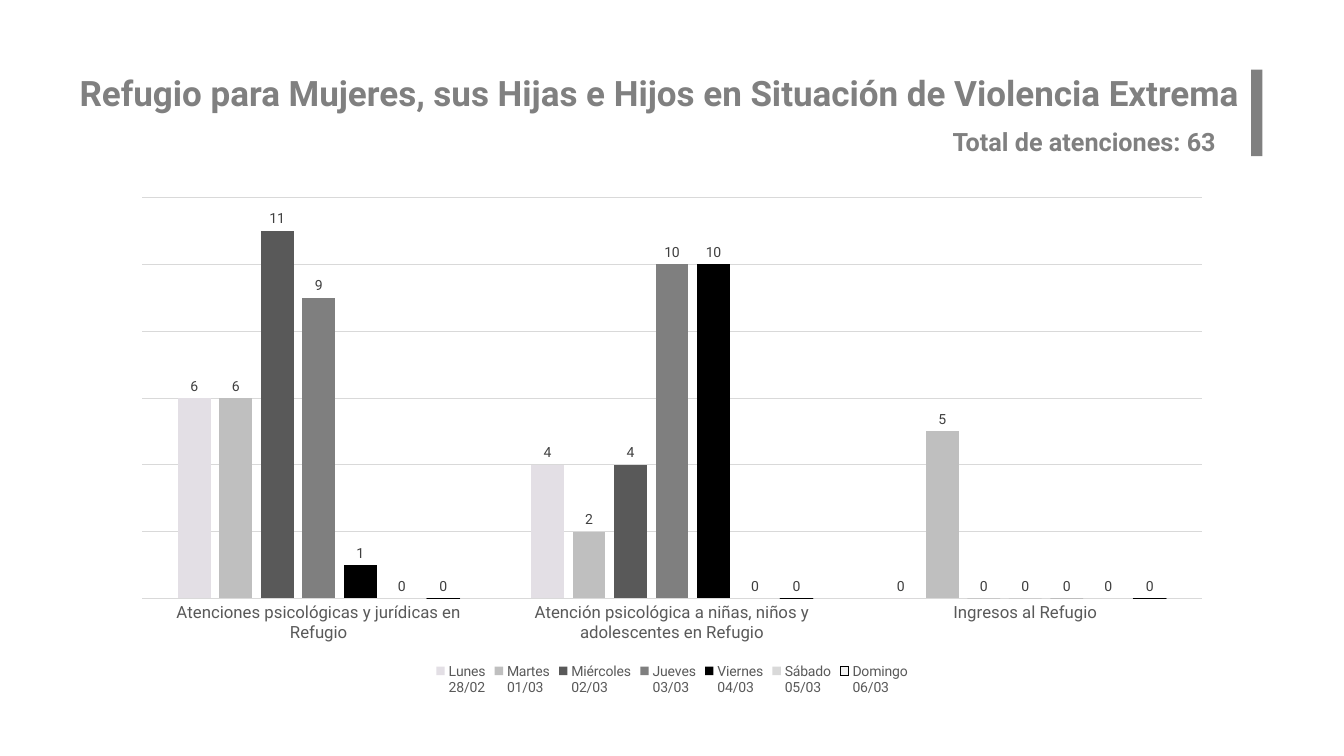
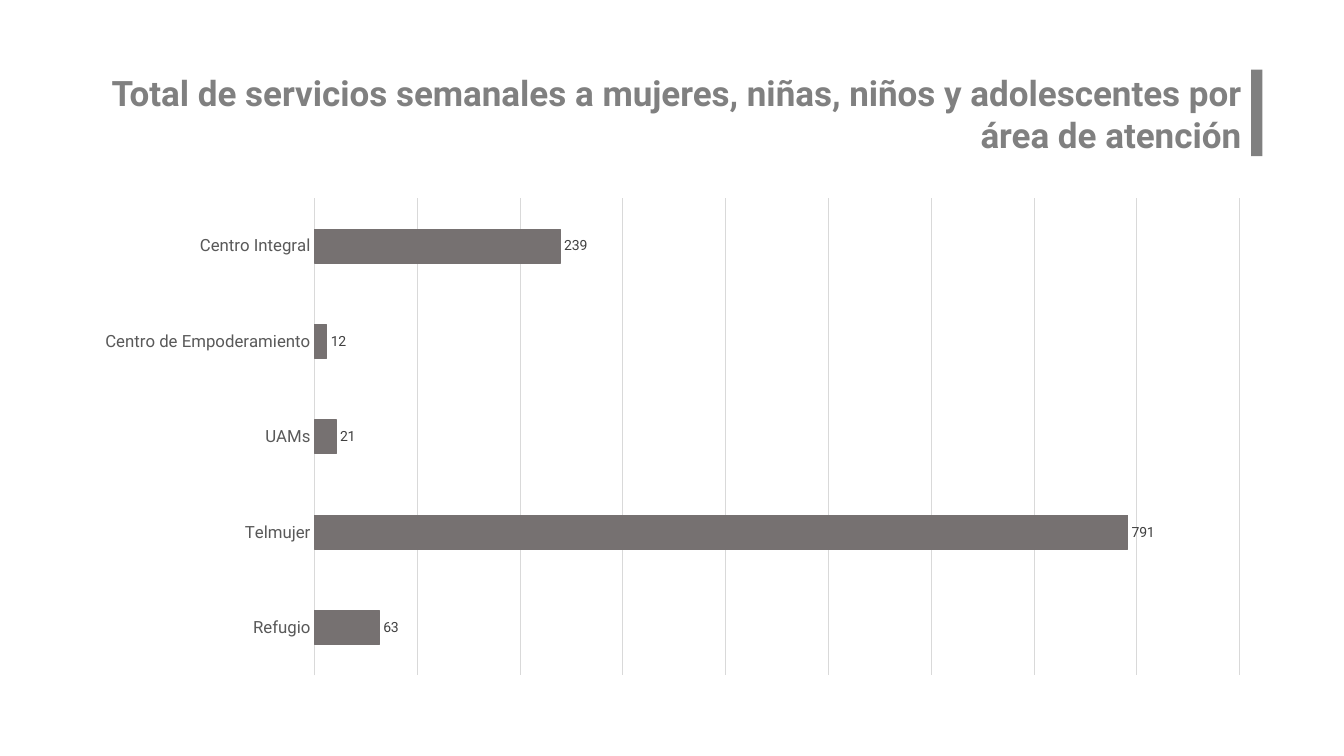
"""Build two slides on weekly care services with native charts."""
from pptx import Presentation
from pptx.chart.data import CategoryChartData
from pptx.dml.color import RGBColor
from pptx.enum import chart as charts, shapes, text
from pptx.util import Inches, Pt

FONT = "Roboto"
COLORS = {
    "heading": "808080", "axis_text": "595959", "label": "404040",
    "grid": "D9D9D9", "text": "000000", "service": "767171",
}
DAYS = [
    ("Lunes\n28/02", (6, 4, 0), "E3DFE5", None),
    ("Martes\n01/03", (6, 2, 5), "BFBFBF", None),
    ("Miércoles\n02/03", (11, 4, 0), "595959", None),
    ("Jueves\n03/03", (9, 10, 0), "7F7F7F", None),
    ("Viernes\n04/03", (1, 10, 0), "000000", None),
    ("Sábado\n05/03", (0, 0, 0), "D9D9D9", None),
    ("Domingo\n06/03", (0, 0, 0), "F2F2F2", "000000"),
]
CARE_TYPES = [
    "Atenciones psicológicas y jurídicas en Refugio",
    "Atención psicológica a niñas, niños y adolescentes en Refugio",
    "Ingresos al Refugio",
]
AREAS = ["Centro Integral", "Centro de Empoderamiento", "UAMs", "Telmujer", "Refugio"]
SERVICES = [("Servicios", (239, 12, 21, 791, 63), COLORS["service"], COLORS["service"])]


def style_font(font, size, color, bold=False):
    """Apply the shared typeface with a size, colour and weight."""
    font.name, font.size, font.bold = FONT, Pt(size), bold
    font.color.rgb = RGBColor.from_string(color)


def style_line(line, color):
    """Draw a thin line in one colour."""
    line.color.rgb = RGBColor.from_string(color)
    line.width = Pt(0.75)


def place(shape, left, top, width, height):
    """Move and size a shape, in inches."""
    shape.left, shape.top = Inches(left), Inches(top)
    shape.width, shape.height = Inches(width), Inches(height)


def write_heading(shape, words, size, alignment):
    """Write one bold grey paragraph at the top of a shape."""
    frame = shape.text_frame
    frame.word_wrap = True
    frame.auto_size = text.MSO_AUTO_SIZE.NONE
    frame.vertical_anchor = text.MSO_ANCHOR.TOP
    paragraph = frame.paragraphs[0]
    paragraph.alignment = alignment
    run = paragraph.add_run()
    run.text = words
    style_font(run.font, size, COLORS["heading"], bold=True)


def add_titled_slide(presentation, title, height, alignment):
    """Add a slide with its title and the grey bar beside it."""
    slide = presentation.slides.add_slide(presentation.slide_layouts[5])
    place(slide.shapes.title, 0.69, 0.66, 11.72, height)
    write_heading(slide.shapes.title, title, 25, alignment)
    bar = slide.shapes.add_shape(
        shapes.MSO_SHAPE.RECTANGLE, Inches(12.41), Inches(0.69), Inches(0.11), Inches(0.86))
    bar.shadow.inherit = False
    bar.fill.solid()
    bar.fill.fore_color.rgb = RGBColor.from_string(COLORS["heading"])
    bar.line.fill.background()
    return slide


def add_subtitle(slide, words):
    """Add the total under the title."""
    box = slide.shapes.add_textbox(Inches(9.35), Inches(1.2), Inches(3.06), Inches(0.4))
    write_heading(box, words, 18, text.PP_ALIGN.LEFT)


def style_axes(chart, maximum, step):
    """Show category names and value gridlines only."""
    category_axis, value_axis = chart.category_axis, chart.value_axis
    category_axis.major_tick_mark = charts.XL_TICK_MARK.NONE
    category_axis.has_major_gridlines = False
    style_font(category_axis.tick_labels.font, 12, COLORS["axis_text"])
    style_line(category_axis.format.line, COLORS["grid"])
    value_axis.visible = False
    value_axis.minimum_scale, value_axis.maximum_scale = 0, maximum
    value_axis.major_unit = step
    value_axis.has_major_gridlines = True
    style_line(value_axis.major_gridlines.format.line, COLORS["grid"])


def style_series(series, fill, outline):
    """Colour one series and label its values."""
    series.invert_if_negative = False
    series.format.fill.solid()
    series.format.fill.fore_color.rgb = RGBColor.from_string(fill)
    if outline:
        style_line(series.format.line, outline)
    else:
        series.format.line.fill.background()
    labels = series.data_labels
    labels.show_value = True
    labels.position = charts.XL_LABEL_POSITION.OUTSIDE_END
    style_font(labels.font, 10, COLORS["label"])


def add_bar_chart(slide, kind, box, categories, rows, gap, maximum, step):
    """Add a clustered chart from rows of name, values, fill and outline."""
    data = CategoryChartData()
    data.categories = categories
    for name, values, _, _ in rows:
        data.add_series(name, values)
    chart = slide.shapes.add_chart(kind, *map(Inches, box), data).chart
    chart.has_title = chart.has_legend = False
    style_font(chart.font, 10, COLORS["text"])
    style_axes(chart, maximum, step)
    plot = chart.plots[0]
    plot.gap_width = gap
    plot.vary_by_categories = False
    for series, (_, _, fill, outline) in zip(plot.series, rows):
        style_series(series, fill, outline)
    return chart


def add_legend(chart):
    """Add the legend below the plot."""
    chart.has_legend = True
    chart.legend.position = charts.XL_LEGEND_POSITION.BOTTOM
    chart.legend.include_in_layout = False
    style_font(chart.legend.font, 10, COLORS["axis_text"])


def build_shelter_slide(presentation):
    """Build the slide of shelter care by day."""
    slide = add_titled_slide(
        presentation,
        "Refugio para Mujeres, sus Hijas e Hijos en Situación de Violencia Extrema",
        0.52, text.PP_ALIGN.LEFT)
    add_subtitle(slide, "Total de atenciones: 63")
    chart = add_bar_chart(
        slide, charts.XL_CHART_TYPE.COLUMN_CLUSTERED, (1.19, 1.86, 10.95, 5.08),
        CARE_TYPES, DAYS, gap=219, maximum=12, step=2)
    chart.plots[0].overlap = -27
    add_legend(chart)


def build_services_slide(presentation):
    """Build the slide of weekly services by area."""
    slide = add_titled_slide(
        presentation,
        "Total de servicios semanales a mujeres, niñas, niños y adolescentes por área de atención",
        0.94, text.PP_ALIGN.RIGHT)
    chart = add_bar_chart(
        slide, charts.XL_CHART_TYPE.BAR_CLUSTERED, (0.81, 1.87, 11.72, 4.93),
        AREAS, SERVICES, gap=182, maximum=900, step=100)
    chart.category_axis.reverse_order = True


def main():
    """Build and save the presentation."""
    presentation = Presentation()
    presentation.slide_width, presentation.slide_height = Inches(13.33), Inches(7.5)
    build_shelter_slide(presentation)
    build_services_slide(presentation)
    presentation.save("out.pptx")


if __name__ == "__main__":
    main()
